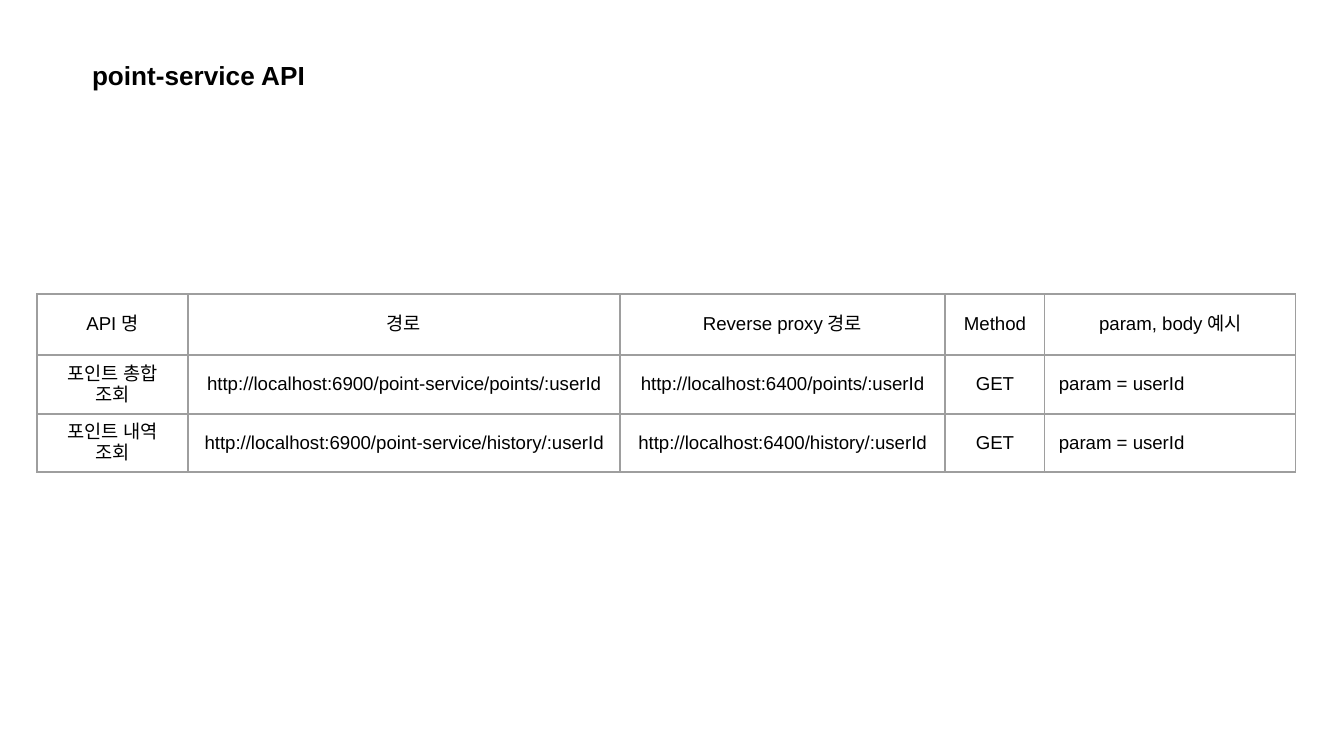
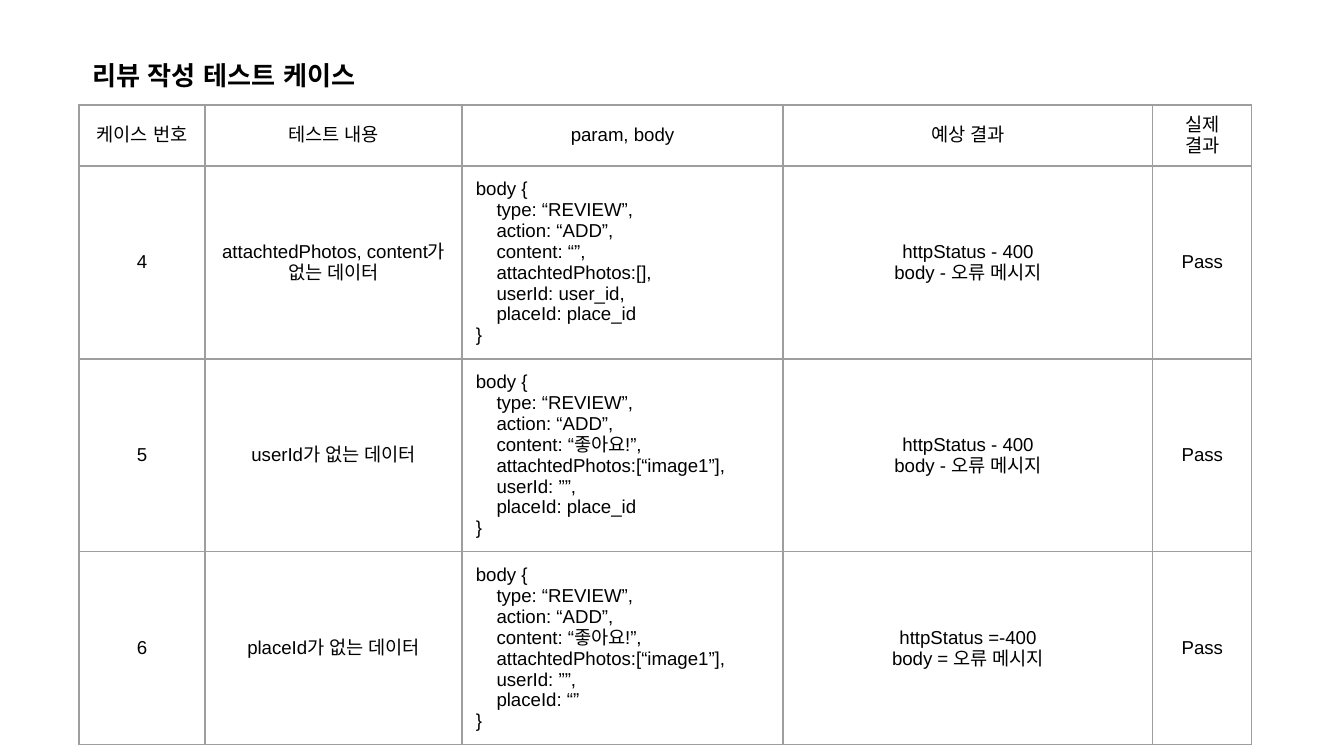
import dataclasses

import lxml.etree
import pptx
import pptx.dml.color
import pptx.enum.text
import pptx.oxml
import pptx.oxml.ns
import pptx.util

ALIGN = pptx.enum.text.PP_ALIGN
ANCHOR = pptx.enum.text.MSO_ANCHOR


@dataclasses.dataclass(frozen=True)
class Theme:
    """Hold the colours, font, type sizes and insets of the deck."""
    ink: str = "000000"
    rule: str = "9E9E9E"
    font: str = "Arial"
    title: int = 14
    text: int = 10
    inset: int = 13
    side: int = 14
    edge: int = 2


THEME = Theme()
TITLE = (79, 46, 524, 59)


def px(count):
    """Turn pixels into EMU."""
    return pptx.util.Emu(round(count * 914400 / 134.4))


def style(para, size, bold, align):
    """Set the font, for Latin and Korean, and alignment of a paragraph."""
    para.alignment = align
    font = para.font
    font.name = THEME.font
    font.size = pptx.util.Pt(size)
    font.bold = bold
    font.color.rgb = pptx.dml.color.RGBColor.from_string(THEME.ink)
    for tag in ("a:ea", "a:cs"):
        lxml.etree.SubElement(font._rPr, pptx.oxml.ns.qn(tag),
                              typeface=THEME.font)


def inset(box, side, edge):
    """Set the margins of a text frame or cell."""
    box.margin_left = box.margin_right = px(side)
    box.margin_top = box.margin_bottom = px(edge)


def border(cell):
    """Draw a thin rule on each side of a cell."""
    props = cell._tc.get_or_add_tcPr()
    space = pptx.oxml.ns.nsdecls("a")
    for index, side in enumerate(("lnL", "lnR", "lnT", "lnB")):
        line = pptx.oxml.parse_xml(
            f'<a:{side} {space} w="{pptx.util.Pt(0.75)}"><a:solidFill>'
            f'<a:srgbClr val="{THEME.rule}"/></a:solidFill></a:{side}>')
        props.insert(index, line)


def add_cell(cell, text, align):
    """Fill one table cell with text and rules."""
    inset(cell, THEME.side, THEME.edge)
    cell.vertical_anchor = ANCHOR.MIDDLE
    cell.fill.background()
    border(cell)
    cell.text = text
    for para in cell.text_frame.paragraphs:
        style(para, THEME.text, False, align)


def add_grid(slide, left, top, cols, heights, rows, code):
    """Add a table whose code column is justified below its header."""
    frame = slide.shapes.add_table(len(rows), len(cols), px(left), px(top),
                                   px(sum(cols)), px(sum(heights)))
    table = frame.table
    table.first_row = table.horz_banding = False
    for col, width in zip(table.columns, cols):
        col.width = px(width)
    for row, height in zip(table.rows, heights):
        row.height = px(height)
    for i, row in enumerate(rows):
        for j, text in enumerate(row):
            align = ALIGN.JUSTIFY if i and j == code else ALIGN.CENTER
            add_cell(table.cell(i, j), text, align)


def add_slide(deck, text):
    """Add a slide with its title."""
    slide = deck.slides.add_slide(deck.slide_layouts[5])
    title = slide.shapes.title
    title.left, title.top, title.width, title.height = map(px, TITLE)
    frame = title.text_frame
    frame.text = text
    frame.word_wrap = True
    frame.auto_size = pptx.enum.text.MSO_AUTO_SIZE.NONE
    frame.vertical_anchor = ANCHOR.TOP
    inset(frame, THEME.inset, THEME.inset)
    style(frame.paragraphs[0], THEME.title, True, ALIGN.LEFT)
    return slide


def add_api(deck):
    """Build the slide that lists the point API."""
    slide = add_slide(deck, "point-service API")
    rows = [("API 명", "경로", "Reverse proxy 경로", "Method",
             "param, body 예시")]
    for name, route in (("총합", "points"), ("내역", "history")):
        rows.append((f"포인트 {name} 조회",
                     f"http://localhost:6900/point-service/{route}/:userId",
                     f"http://localhost:6400/{route}/:userId",
                     "GET", "param = userId"))
    add_grid(slide, 37, 294, (151, 432, 325, 100, 251), (61, 59, 58), rows, 4)


def body(content, photos, user, place):
    """Return the request body of one test case."""
    fields = ("type: “REVIEW”,", "action: “ADD”,", f"content: {content},",
              f"attachtedPhotos:[{photos}],", f"userId: {user},",
              f"placeId: {place}")
    return "\n".join(["body {", *("    " + field for field in fields), "}"])


def add_cases(deck):
    """Build the slide that lists the review test cases."""
    slide = add_slide(deck, "리뷰 작성 테스트 케이스")
    fail = "httpStatus - 400\nbody - 오류 메시지"
    rows = [
        ("케이스 번호", "테스트 내용", "param, body", "예상 결과", "실제 결과"),
        ("4", "attachtedPhotos, content가 없는 데이터",
         body("“”", "", "user_id", "place_id"), fail, "Pass"),
        ("5", "userId가 없는 데이터",
         body("“좋아요!”", "“image1”", "””", "place_id"), fail, "Pass"),
        ("6", "placeId가 없는 데이터",
         body("“좋아요!”", "“image1”", "””", "“”"),
         "httpStatus =-400\nbody = 오류 메시지", "Pass"),
    ]
    add_grid(slide, 79, 105, (126, 257, 321, 370, 99), (61, 193, 193, 193),
             rows, 2)


def main():
    """Build and save the deck."""
    deck = pptx.Presentation()
    deck.slide_width, deck.slide_height = px(1344), px(756)
    add_api(deck)
    add_cases(deck)
    deck.save("out.pptx")


if __name__ == "__main__":
    main()
